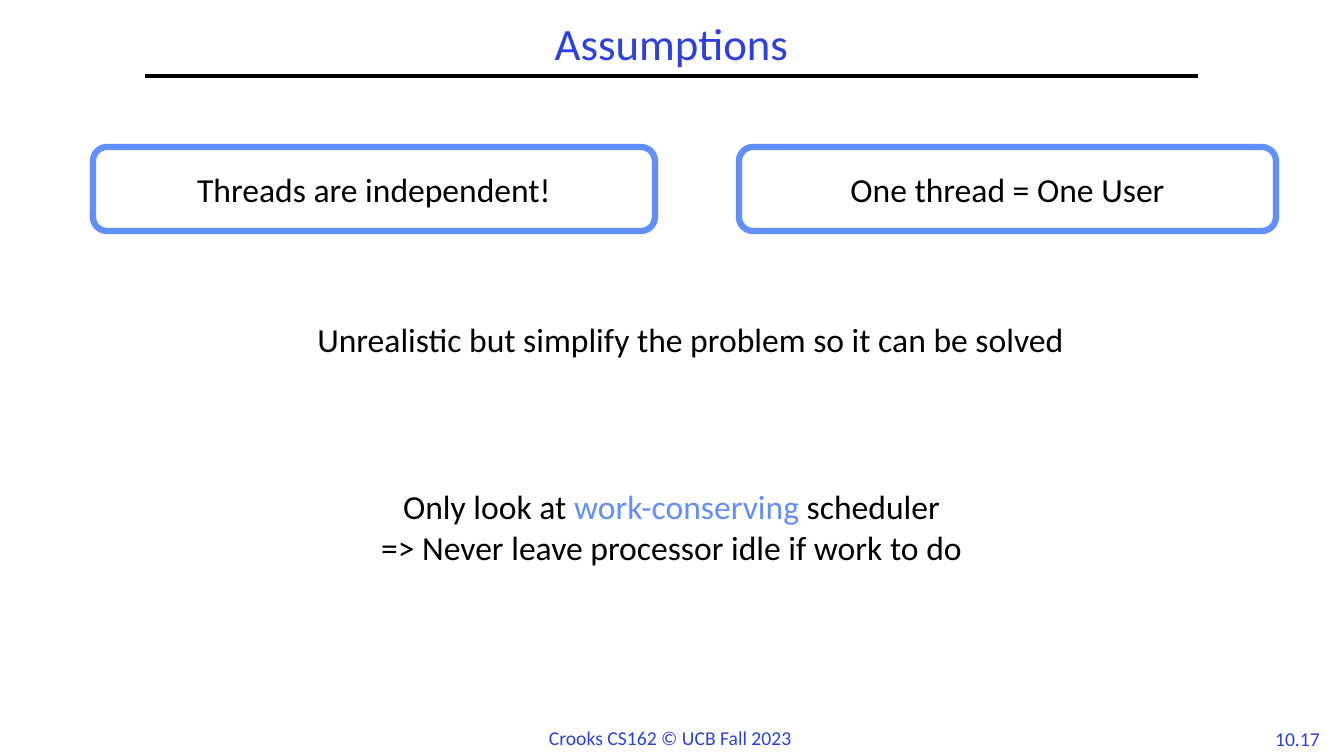
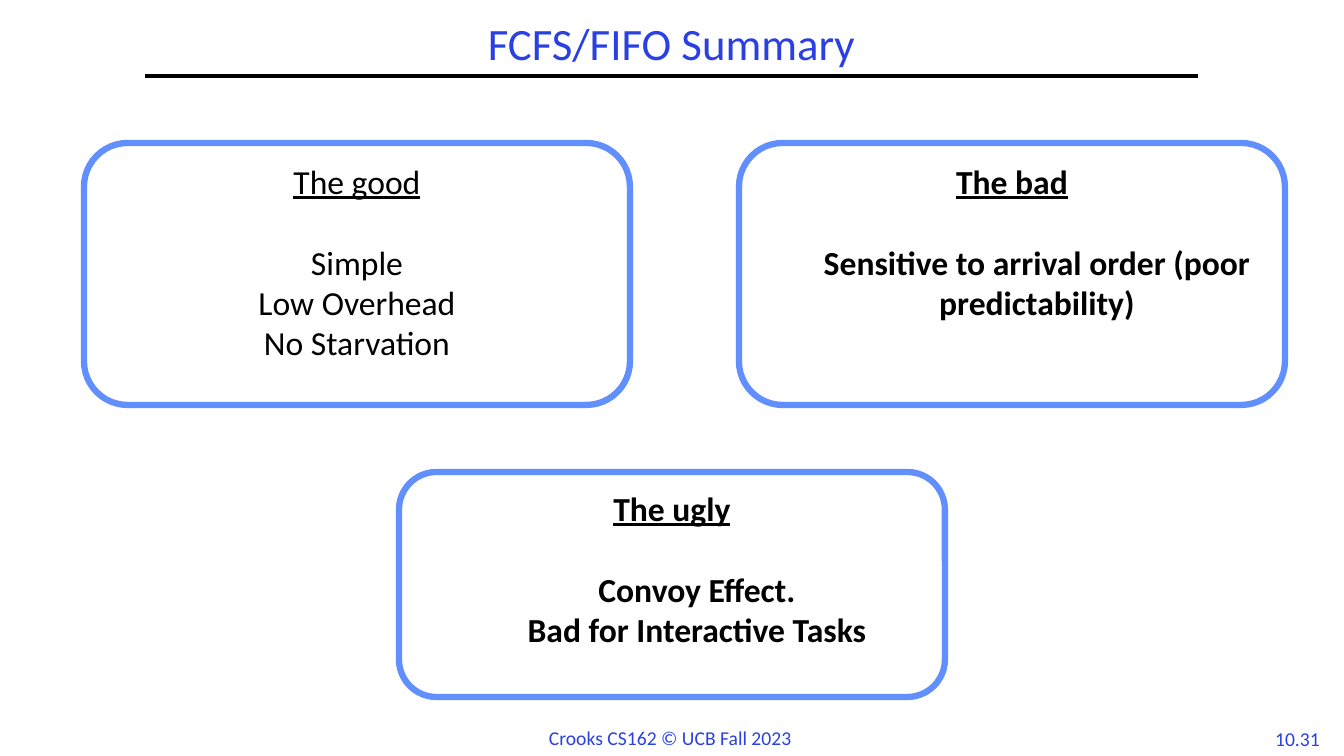
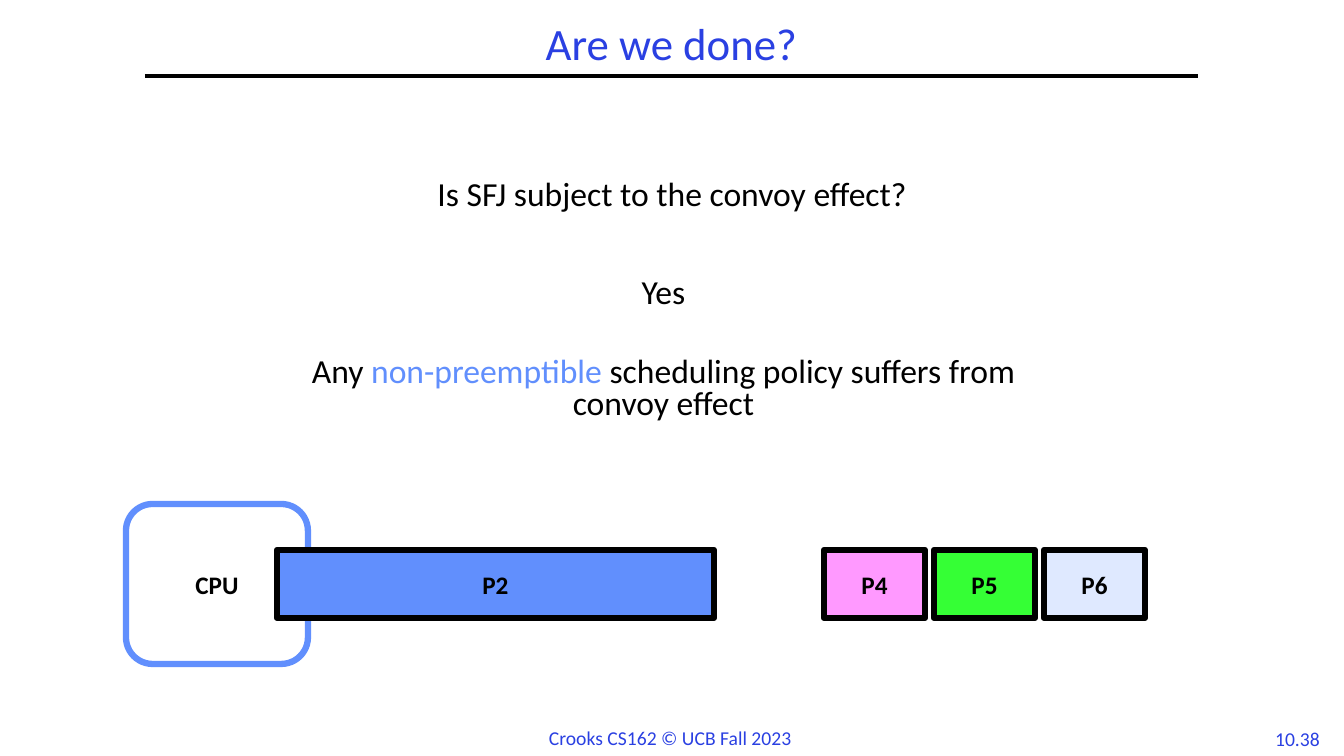
from dataclasses import dataclass
from typing import NamedTuple

from pptx import Presentation
from pptx.dml.color import RGBColor
from pptx.enum.shapes import MSO_CONNECTOR, MSO_SHAPE
from pptx.enum.text import MSO_ANCHOR, MSO_AUTO_SIZE, PP_ALIGN
from pptx.oxml.ns import qn
from pptx.util import Pt

SLIDE_W, SLIDE_H = 1344, 756
EMU_PER_PX = 12192000 / SLIDE_W


def px(length):
    return round(length * EMU_PER_PX)


class Box(NamedTuple):
    x: int
    y: int
    w: int
    h: int

    def emu(self):
        return [px(length) for length in self]

    def inner(self, x, y, w, h):
        return Box(self.x + x, self.y + y, w, h)


@dataclass(frozen=True)
class Theme:
    font: str = "Calibri"
    ink: str = "000000"
    paper: str = "FFFFFF"
    heading: str = "2A40E2"
    accent: str = "618FFD"
    pink: str = "FF99FF"
    green: str = "35FF35"
    pale: str = "DFE9FF"
    title_size: int = 32
    body_size: int = 24
    label_size: int = 18
    footer_size: int = 14
    blank_line: int = 29
    outline: float = 4.5
    rule: int = 3


THEME = Theme()
PAGE = Box(0, 0, SLIDE_W, SLIDE_H)
TITLE = Box(145, 17, 1053, 59)
FOOTER = Box(539, 721, 265, 34)
PAGE_NUMBER = Box(1263, 722, 69, 33)


def rgb(colour):
    return RGBColor.from_string(colour)


def style_run(run, size, colour=THEME.ink, bold=False, underline=False):
    run.font.name = THEME.font
    run.font.size = Pt(size)
    run.font.color.rgb = rgb(colour)
    run.font.bold = bold
    run.font.underline = underline


def style_paragraph(paragraph, size, align=PP_ALIGN.CENTER, **run_style):
    paragraph.alignment = align
    for run in paragraph.runs:
        style_run(run, size, **run_style)


def add_title(slide, text):
    title = slide.shapes.title
    title.left, title.top, title.width, title.height = TITLE.emu()
    frame = title.text_frame
    frame.text = text
    frame.auto_size = MSO_AUTO_SIZE.NONE
    frame.vertical_anchor = MSO_ANCHOR.MIDDLE
    frame.paragraphs[0].line_spacing = 0.9
    style_paragraph(frame.paragraphs[0], THEME.title_size, colour=THEME.heading)


def add_footer_text(slide, box, text, align):
    footer = slide.shapes.add_textbox(*box.emu())
    footer.text_frame.word_wrap = False
    footer.text_frame.text = text
    style_paragraph(footer.text_frame.paragraphs[0], THEME.footer_size, align, colour=THEME.heading)
    return footer


def share_frame(slide):
    rule_y = px(TITLE.y + TITLE.h)
    rule = slide.shapes.add_connector(
        MSO_CONNECTOR.STRAIGHT, px(TITLE.x), rule_y, px(TITLE.x + TITLE.w), rule_y)
    rule.line.color.rgb = rgb(THEME.ink)
    rule.line.width = Pt(THEME.rule)
    properties = rule.element.spPr
    properties.append(properties.makeelement(qn("a:effectLst"), {}))
    footer = add_footer_text(slide, FOOTER, "Crooks CS162 © UCB Fall 2023", PP_ALIGN.LEFT)
    for shared in (rule, footer):
        slide.slide_layout.shapes.element.append(shared.element)


def add_statement(slide, box, lines, accent=None, spacing=0.85, gap=4.8):
    frame = slide.shapes.add_textbox(*box.emu()).text_frame
    frame.word_wrap = True
    frame.text = "\n".join(lines)
    for index, paragraph in enumerate(frame.paragraphs):
        paragraph.line_spacing = spacing
        if index:
            paragraph.space_before = Pt(gap)
        if accent and accent in paragraph.text:
            before, phrase, after = paragraph.text.partition(accent)
            paragraph.text = before
            paragraph.add_run().text = phrase
            paragraph.add_run().text = after
        style_paragraph(paragraph, THEME.body_size)
        for run in paragraph.runs:
            if run.text == accent:
                run.font.color.rgb = rgb(THEME.accent)


def add_panel(slide, box, text, size=THEME.body_size, preset=MSO_SHAPE.ROUNDED_RECTANGLE,
              fill=THEME.paper, outline=THEME.accent, bold=False):
    panel = slide.shapes.add_shape(preset, *box.emu())
    panel.shadow.inherit = False
    panel.fill.solid()
    panel.fill.fore_color.rgb = rgb(fill)
    panel.line.color.rgb = rgb(outline)
    panel.line.width = Pt(THEME.outline)
    frame = panel.text_frame
    frame.word_wrap = True
    frame.vertical_anchor = MSO_ANCHOR.MIDDLE
    frame.text = text
    for paragraph in frame.paragraphs:
        style_paragraph(paragraph, size, bold=bold)
    return frame


def add_verdict(slide, box, heading, points, bold=True, indent=50):
    frame = add_panel(slide, box, "\n".join([heading, *points]), bold=bold)
    frame.vertical_anchor = MSO_ANCHOR.TOP
    first, *rest = frame.paragraphs
    first.runs[0].font.underline = True
    rest[0].space_before = Pt(THEME.blank_line)
    for point in rest:
        properties = point._p.get_or_add_pPr()
        properties.set("marL", str(px(indent)))
        properties.set("indent", "0")


def add_queue(slide, box):
    add_panel(slide, box.inner(0, 0, 182, box.h), "CPU", THEME.label_size, bold=True)
    processes = [("P2", 151, 437, THEME.accent)]
    waiting = (("P4", THEME.pink), ("P5", THEME.green), ("P6", THEME.pale))
    processes += [(name, 698 + 110 * place, 101, fill)
                  for place, (name, fill) in enumerate(waiting)]
    height = 68
    for name, x, width, fill in processes:
        add_panel(slide, box.inner(x, (box.h - height) // 2, width, height), name,
                  THEME.label_size, MSO_SHAPE.RECTANGLE, fill, THEME.ink, bold=True)


def assumptions(slide, page):
    add_statement(slide, page.inner(302, 320, 777, 93),
                  ["Unrealistic but simplify the problem so it can be solved"])
    add_panel(slide, page.inner(93, 147, 562, 84), "Threads are independent!")
    add_panel(slide, page.inner(739, 147, 537, 84), "One thread = One User")
    add_statement(slide, page.inner(29, 487, 1285, 93),
                  ["Only look at work-conserving scheduler",
                   "=> Never leave processor idle if work to do"], "work-conserving")


def fifo_summary(slide, page):
    width = 546
    add_verdict(slide, page.inner(84, 143, width, 262), "The good",
                ["Simple", "Low Overhead", "No Starvation"], bold=False, indent=0)
    add_verdict(slide, page.inner(739, 143, width, 262), "The bad",
                ["Sensitive to arrival order (poor predictability)"])
    add_verdict(slide, page.inner((page.w - width) // 2, 472, width, 225), "The ugly",
                ["Convoy Effect.", "Bad for Interactive Tasks"])


def are_we_done(slide, page):
    add_statement(slide, page.inner(0, 176, page.w, 59),
                  ["Is SFJ subject to the convoy effect?"], spacing=0.8)
    add_statement(slide, page.inner(294, 274, 739, 59),
                  ["Yes", "Any non-preemptible scheduling policy suffers from convoy effect"],
                  "non-preemptible", spacing=0.8, gap=33)
    add_queue(slide, page.inner(126, 504, 1020, 160))


def main():
    deck = Presentation()
    deck.slide_width, deck.slide_height = px(SLIDE_W), px(SLIDE_H)
    title_only = deck.slide_layouts[5]
    pages = (
        ("Assumptions", "10.17", assumptions),
        ("FCFS/FIFO Summary", "10.31", fifo_summary),
        ("Are we done?", "10.38", are_we_done),
    )
    for index, (title, number, fill_page) in enumerate(pages):
        slide = deck.slides.add_slide(title_only)
        if index == 0:
            share_frame(slide)
        add_title(slide, title)
        add_footer_text(slide, PAGE_NUMBER, number, PP_ALIGN.CENTER)
        fill_page(slide, PAGE)
    deck.save("out.pptx")


if __name__ == "__main__":
    main()
